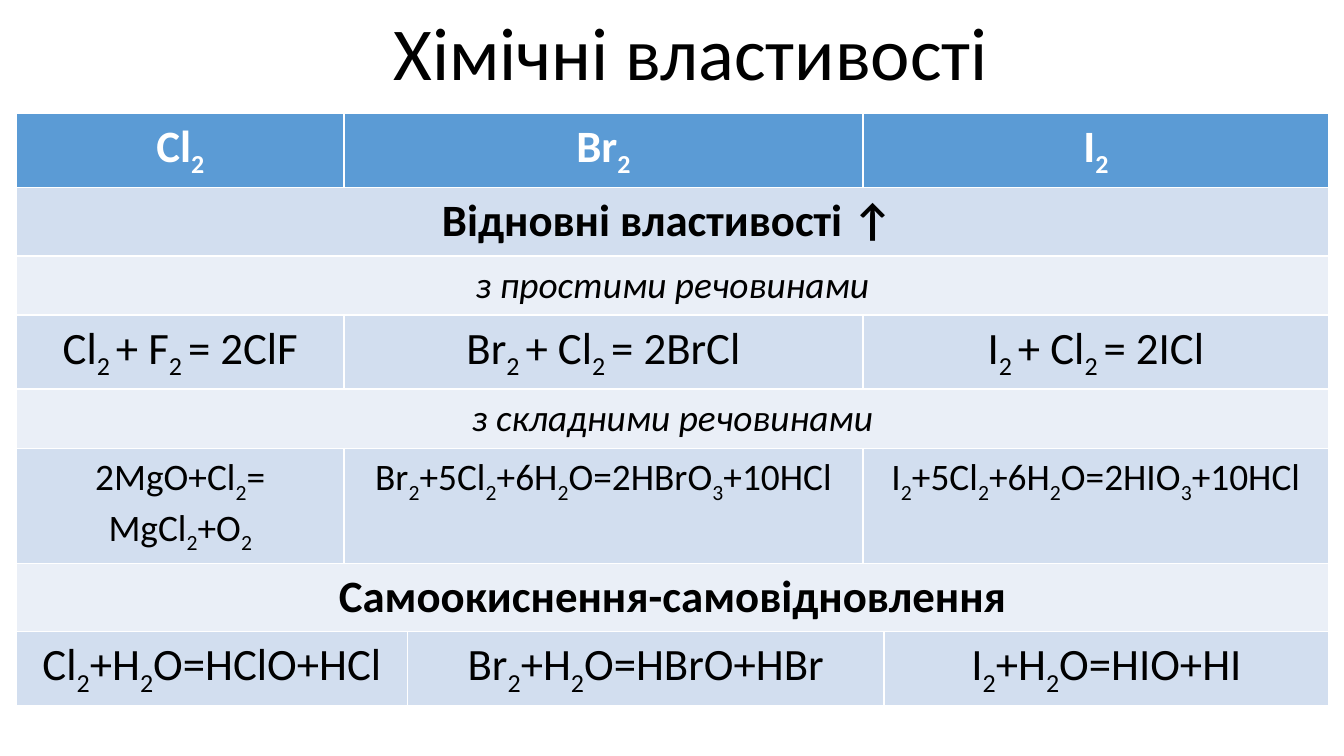
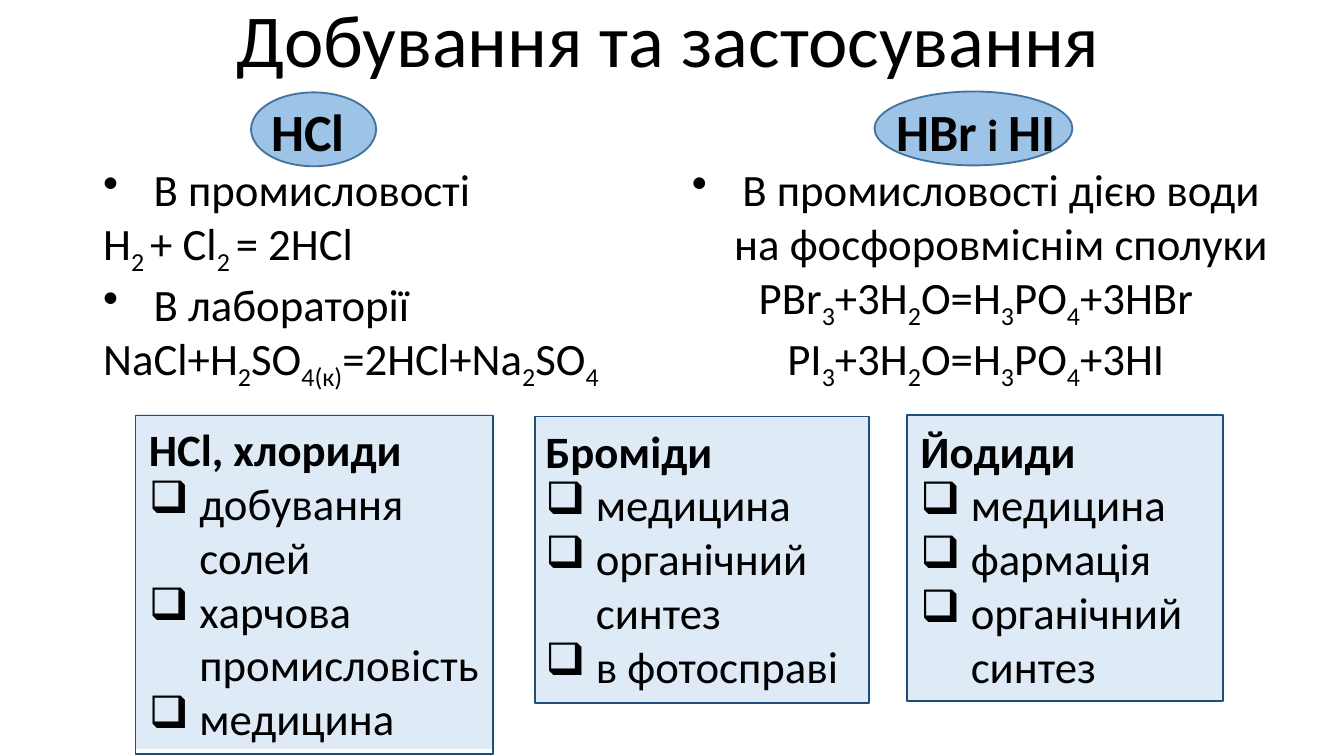
"""Builds two slides on the chemistry of the halogens."""
from dataclasses import dataclass

from lxml import etree
from pptx import Presentation
from pptx.dml.color import RGBColor
from pptx.enum.shapes import MSO_SHAPE
from pptx.enum.text import MSO_ANCHOR, MSO_AUTO_SIZE, PP_ALIGN
from pptx.oxml.ns import qn
from pptx.util import Pt

ELLIPSE, RECTANGLE = MSO_SHAPE.OVAL, MSO_SHAPE.RECTANGLE
LEFT, CENTER = PP_ALIGN.LEFT, PP_ALIGN.CENTER
TOP, MIDDLE = MSO_ANCHOR.TOP, MSO_ANCHOR.MIDDLE
FIXED, GROW = MSO_AUTO_SIZE.NONE, MSO_AUTO_SIZE.SHAPE_TO_FIT_TEXT
TITLE_ONLY = 5
DOT, CHECK = "•", "❑"
FONT = "Calibri"
HANGING = Pt(27)
COLORS = {
    "text": "000000", "white": "FFFFFF", "header": "5B9BD5",
    "band": "D2DEEF", "pale_band": "EAEFF7",
    "oval": "9DC3E6", "oval_line": "43739E",
    "card": "DEEBF7", "card_line": "1F4E79",
}


@dataclass
class Line:
    """A paragraph; its text marks subscripts with tildes."""
    text: str
    size: float = 24
    bold: bool = False
    italic: bool = False
    color: str = "text"
    align: int = LEFT
    bullet: str = ""
    indent: float = 0
    small_part: str = ""


def rgb(name):
    """Return the named colour."""
    return RGBColor.from_string(COLORS[name])


class Deck:
    """The style of the slides and the slide being built."""

    def __init__(self):
        """Start an empty widescreen deck."""
        self.deck = Presentation()
        self.deck.slide_width, self.deck.slide_height = Pt(720), Pt(405)
        self.page = None

    def add_page(self, title, left, top, width, height):
        """Add a slide with its title placed and formatted."""
        self.page = self.deck.slides.add_slide(self.deck.slide_layouts[TITLE_ONLY])
        box = self.page.shapes.title
        box.left, box.top, box.width, box.height = map(Pt, (left, top, width, height))
        frame = box.text_frame
        frame.auto_size, frame.vertical_anchor = FIXED, MIDDLE
        self.add_lines(frame, [Line(title, 40, align=CENTER)])
        frame.paragraphs[0].line_spacing = 0.9

    def add_span(self, para, text, line, size, subscript=False):
        """Add one run in the style of its line."""
        span = para.add_run()
        span.text = text
        font = span.font
        font.name, font.size = FONT, Pt(size)
        font.bold, font.italic = line.bold, line.italic
        font.color.rgb = rgb(line.color)
        if subscript:
            span._r.get_or_add_rPr().set("baseline", "-25000")

    def add_lines(self, frame, lines):
        """Fill a text frame with lines."""
        for index, line in enumerate(lines):
            para = frame.add_paragraph() if index else frame.paragraphs[0]
            para.alignment = line.align
            props = para._p.get_or_add_pPr()
            if line.bullet:
                props.set("marL", str(HANGING))
                props.set("indent", str(-HANGING))
                etree.SubElement(props, qn("a:buChar")).set("char", line.bullet)
            elif line.indent:
                props.set("marL", str(Pt(line.indent)))
            before, small, after = line.text.partition(line.small_part or "\n")
            for text, size in ((before, line.size), (small, 24), (after, line.size)):
                for position, part in enumerate(text.split("~")):
                    if part:
                        self.add_span(para, part, line, size, position % 2 == 1)

    def add_panel(self, kind, left, top, width, height, fill, line):
        """Add a filled, outlined shape without text."""
        shape = self.page.shapes.add_shape(kind, *map(Pt, (left, top, width, height)))
        shape.shadow.inherit = False
        shape.fill.solid()
        shape.fill.fore_color.rgb = rgb(fill)
        shape.line.color.rgb = rgb(line)
        shape.line.width = Pt(1)

    def add_text(self, left, top, width, height, lines, outline=None):
        """Add a wrapping text box, outlined if a colour is given."""
        box = self.page.shapes.add_textbox(*map(Pt, (left, top, width, height)))
        frame = box.text_frame
        frame.word_wrap, frame.auto_size, frame.vertical_anchor = True, GROW, TOP
        self.add_lines(frame, lines)
        if outline:
            box.line.color.rgb = rgb(outline)
            box.line.width = Pt(0.75)

    def add_table(self, left, top, widths, heights, rows):
        """Add a table whose rows are lists of (column span, lines)."""
        table = self.page.shapes.add_table(
            len(rows), len(widths), Pt(left), Pt(top),
            Pt(sum(widths)), Pt(sum(heights))).table
        for column, width in zip(table.columns, widths):
            column.width = Pt(width)
        for number, (cells, height) in enumerate(zip(rows, heights)):
            table.rows[number].height = Pt(height)
            fill = ("band" if number % 2 else "pale_band") if number else "header"
            for cell in table.rows[number].cells:
                cell.fill.solid()
                cell.fill.fore_color.rgb = rgb(fill)
            start = 0
            for span, lines in cells:
                cell = table.cell(number, start)
                if span > 1:
                    cell.merge(table.cell(number, start + span - 1))
                self.add_lines(cell.text_frame, lines)
                start += span


def table_row(spans, *texts, **style):
    """Return a table row of centred cells, with line breaks as paragraphs."""
    return [(span, [Line(part, align=CENTER, **style) for part in text.split("\n")])
            for span, text in zip(spans, texts)]


def build_properties(deck):
    """Build the slide with the table of chemical properties."""
    deck.add_page("Хімічні властивості", 60, 1.5, 620, 57)
    whole, split, last = (5,), (1, 2, 2), (2, 2, 1)
    rows = [
        table_row(split, "Cl~2~", "Br~2~", "I~2~", bold=True, color="white"),
        table_row(whole, "Відновні властивості ↑ ", bold=True),
        table_row(whole, "з простими речовинами", size=20, italic=True),
        table_row(split, "Cl~2 ~+ F~2 ~= 2ClF", "Br~2 ~+ Cl~2 ~= 2BrCl",
                  "I~2 ~+ Cl~2 ~= 2ICl"),
        table_row(whole, "з складними речовинами", size=20, italic=True),
        table_row(split, "2MgO+Cl~2~=\nMgCl~2~+O~2~",
                  "Br~2~+5Cl~2~+6H~2~O=2HBrO~3~+10HCl",
                  "I~2~+5Cl~2~+6H~2~O=2HIO~3~+10HCl", size=20),
        table_row(whole, "Самоокиснення-самовідновлення", bold=True),
        table_row(last, "Cl~2~+H~2~O=HClO+HCl", "Br~2~+H~2~O=HBrO+HBr",
                  "I~2~+H~2~O=HIO+HI"),
    ]
    deck.add_table(8.8, 60.8, (175.6, 33.9, 244, 11.4, 238.3),
                   [24.5] + [29.2] * 7, rows)


def card_lines(heading, *items):
    """Return a bold heading followed by checklist items."""
    return [Line(heading, bold=True)] + [Line(item, bullet=CHECK) for item in items]


def build_uses(deck):
    """Build the slide on preparation and uses."""
    deck.add_page("Добування та застосування", 48, -6.5, 620, 59)
    for left, top, width in ((468.5, 49, 106), (134.5, 49.5, 67)):
        deck.add_panel(ELLIPSE, left, top, width, 39.6, "oval", "oval_line")
    deck.add_text(48.2, 49.7, 289.4, 157.7, [
        Line("HCl", 28, bold=True, indent=90),
        Line("В промисловості", bullet=DOT),
        Line("H~2 ~+ Cl~2 ~= 2HCl"),
        Line("В лабораторії", bullet=DOT),
        Line("NaCl+H~2~SO~4(к)~=2HCl+Na~2~SO~4~"),
    ])
    deck.add_text(350, 49.7, 345.6, 157.7, [
        Line("HBr і HI", 28, bold=True, align=CENTER, small_part=" і "),
        Line("В промисловості дією води на фосфоровміснім сполуки",
             align=CENTER, bullet=DOT),
        Line("PBr~3~+3H~2~O=H~3~PO~4~+3HBr", align=CENTER),
        Line("PI~3~+3H~2~O=H~3~PO~4~+3HI", align=CENTER),
    ])
    deck.add_panel(RECTANGLE, 72.7, 222.5, 191.5, 178.5, "card", "card")
    deck.add_text(72.7, 222.5, 191.5, 181.5, card_lines(
        "HCl, хлориди", "добування солей", "харчова промисловість", "медицина"),
        outline="card_line")
    deck.add_panel(RECTANGLE, 286.5, 223.2, 179.3, 153.3, "card", "card_line")
    deck.add_text(285.1, 223.2, 179.3, 152.6, card_lines(
        "Броміди", "медицина", "органічний синтез", "в фотосправі"))
    deck.add_panel(RECTANGLE, 486, 222.5, 169.2, 153.3, "card", "card_line")
    deck.add_text(486, 223.2, 198.7, 152.6, card_lines(
        "Йодиди", "медицина", "фармація", "органічний синтез"))


def main():
    """Build and save the deck."""
    deck = Deck()
    build_properties(deck)
    build_uses(deck)
    deck.deck.save("out.pptx")


if __name__ == "__main__":
    main()
